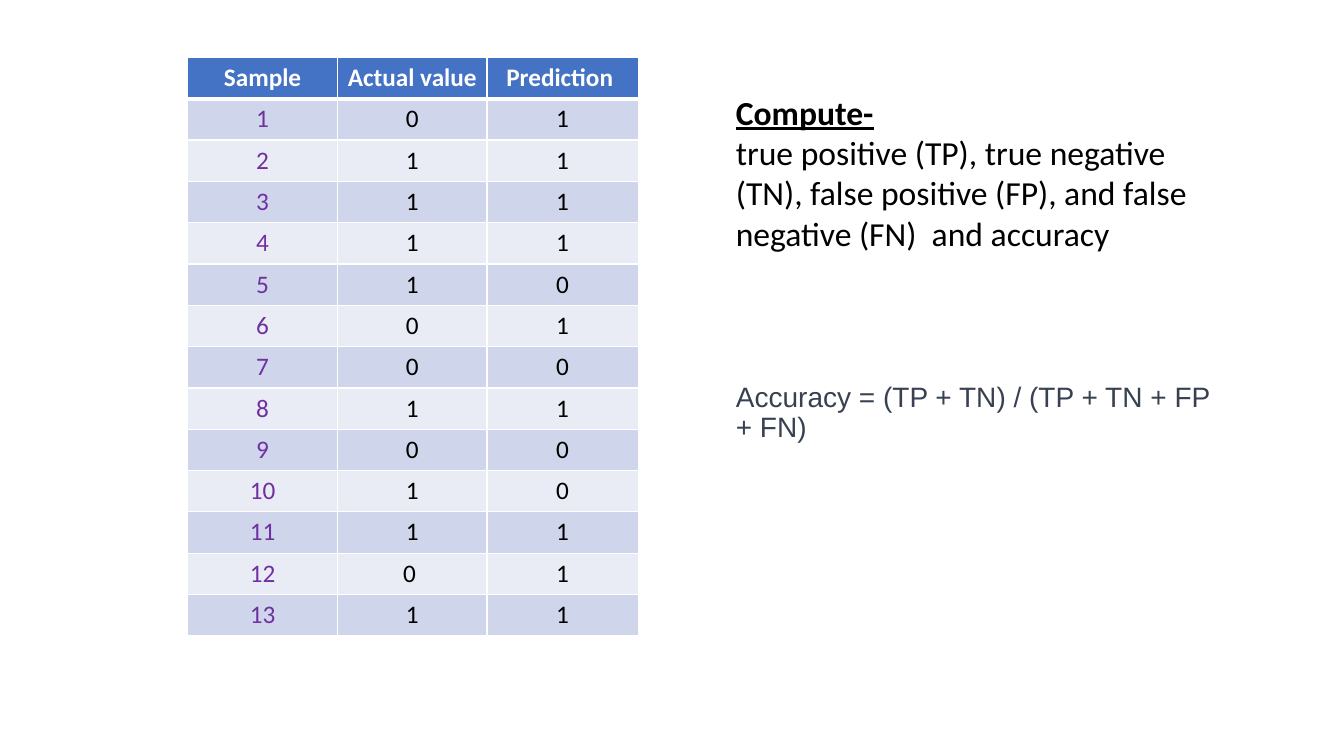
from lxml.etree import SubElement
from pptx import Presentation
from pptx.dml.color import RGBColor
from pptx.enum.text import PP_ALIGN
from pptx.oxml.ns import qn
from pptx.util import Inches, Pt

WHITE = RGBColor(0xFF, 0xFF, 0xFF)
BLACK = RGBColor(0x00, 0x00, 0x00)
BLUE = RGBColor(0x44, 0x72, 0xC4)
PURPLE = RGBColor(0x70, 0x30, 0xA0)
SLATE = RGBColor(0x37, 0x41, 0x51)
BANDS = [RGBColor(0xE9, 0xEB, 0xF5), RGBColor(0xCF, 0xD5, 0xEA)]

HEADS = ["Sample", "Actual value", "Prediction "]
ACTUAL = ["0", "1", "1", "1", "1", "0", "0", "1", "0", "1", "1", "0 ", "1"]
GUESS = ["1", "1", "1", "1", "0", "1", "0", "1", "0", "0", "1", "1", "1"]
WIDTHS = [1.49, 1.48, 1.5]
ROW = 0.41

BODY = {"name": "Calibri", "size": Pt(24), "color": BLACK}
TITLE = BODY | {"bold": True, "underline": True}
RULE = {"name": "Arial", "size": Pt(20), "color": SLATE}
CELL = {"name": "Calibri", "size": Pt(18), "bold": False}


def add_run(para, text, style):
    run = para.add_run()
    run.text = text
    for key, value in style.items():
        if key == "color":
            run.font.color.rgb = value
        else:
            setattr(run.font, key, value)


def add_border(cell, base):
    """Draw white cell edges, the bottom one base points wide."""
    props = cell._tc.get_or_add_tcPr()
    for spot, (side, width) in enumerate(
        {"lnL": 1, "lnR": 1, "lnT": 1, "lnB": base}.items()
    ):
        line = SubElement(props, qn(f"a:{side}"), w=str(Pt(width)))
        fill = SubElement(line, qn("a:solidFill"))
        SubElement(fill, qn("a:srgbClr"), val=str(WHITE))
        props.insert(spot, line)


def fill_cell(cell, text, fill, style, base):
    cell.fill.solid()
    cell.fill.fore_color.rgb = fill
    add_border(cell, base)
    para = cell.text_frame.paragraphs[0]
    para.alignment = PP_ALIGN.CENTER
    add_run(para, text, style)


def add_grid(slide):
    samples = [str(n) for n in range(1, len(ACTUAL) + 1)]
    rows = [HEADS, *zip(samples, ACTUAL, GUESS)]
    table = slide.shapes.add_table(
        len(rows), len(HEADS), Inches(1.86), Inches(0.57),
        Inches(sum(WIDTHS)), Inches(ROW * len(rows)),
    ).table
    for col, width in zip(table.columns, WIDTHS):
        col.width = Inches(width)
    for r, row in enumerate(rows):
        table.rows[r].height = Inches(ROW)
        for c, text in enumerate(row):
            if r == 0:
                fill, style, base = BLUE, {"color": WHITE, "bold": True}, 3
            else:
                fill, base = BANDS[r % 2], 1
                style = {"color": BLACK if c else PURPLE}
            fill_cell(table.cell(r, c), text, fill, CELL | style, base)


def add_text(slide, top, height, lines, space=1.0):
    """Add a text box with one paragraph per (text, style) pair."""
    box = slide.shapes.add_textbox(
        Inches(7.2), Inches(top), Inches(5.08), Inches(height)
    )
    frame = box.text_frame
    frame.word_wrap = True
    for i, (text, style) in enumerate(lines):
        para = frame.add_paragraph() if i else frame.paragraphs[0]
        para.line_spacing = space
        add_run(para, text, style)


def main():
    deck = Presentation()
    deck.slide_width, deck.slide_height = Inches(13.33), Inches(7.5)
    slide = deck.slides.add_slide(deck.slide_layouts[6])
    add_grid(slide)
    task = (
        "true positive (TP), true negative (TN), false positive (FP), "
        "and false negative (FN)  and accuracy"
    )
    add_text(slide, 0.86, 1.72, [("Compute-", TITLE), (task, BODY)])
    rule = "Accuracy = (TP + TN) / (TP + TN + FP + FN)"
    add_text(slide, 3.75, 0.52, [(rule, RULE)], 0.9)
    deck.save("out.pptx")


if __name__ == "__main__":
    main()
